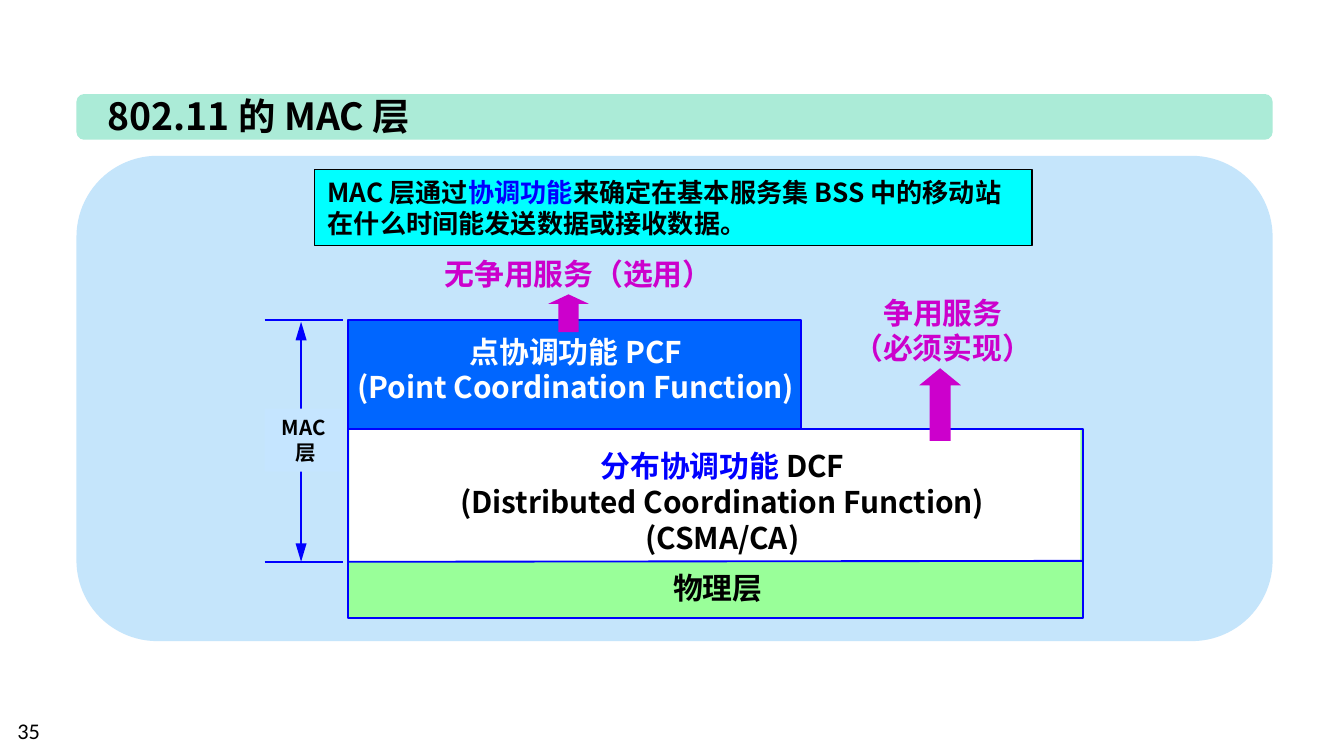
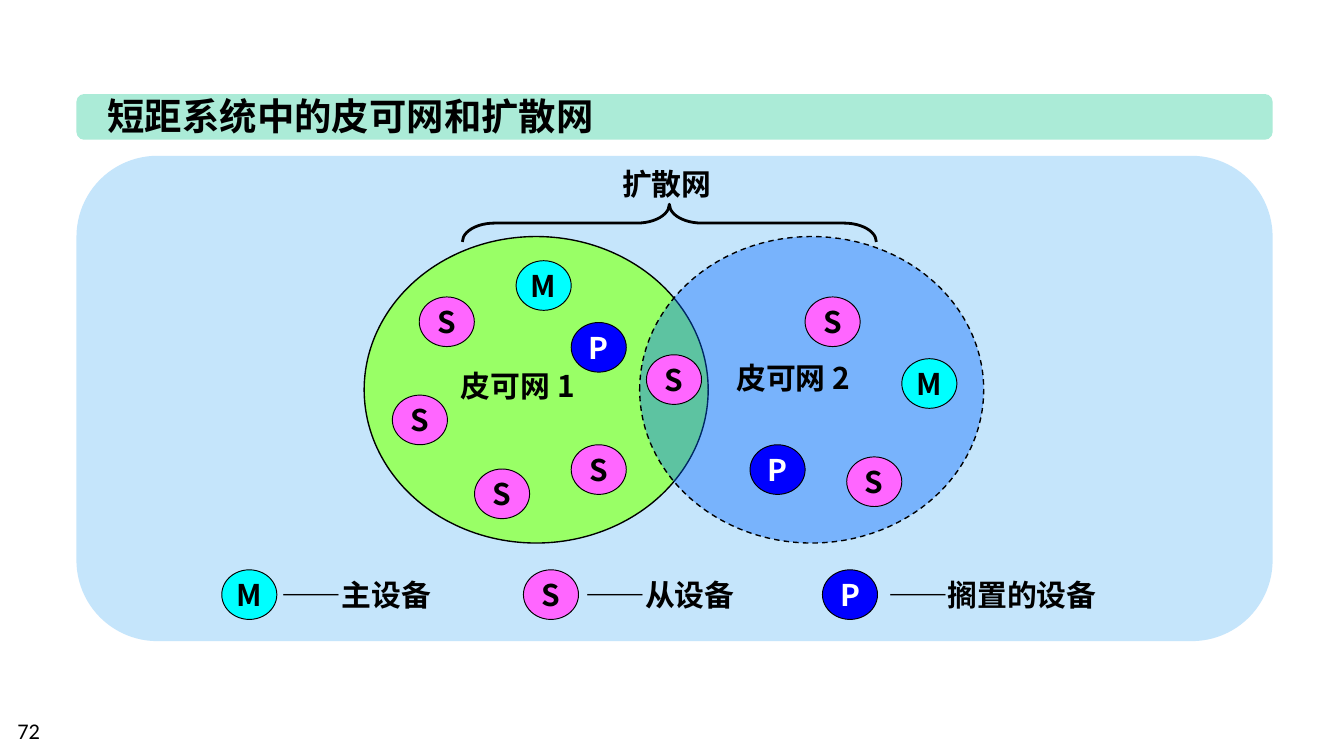
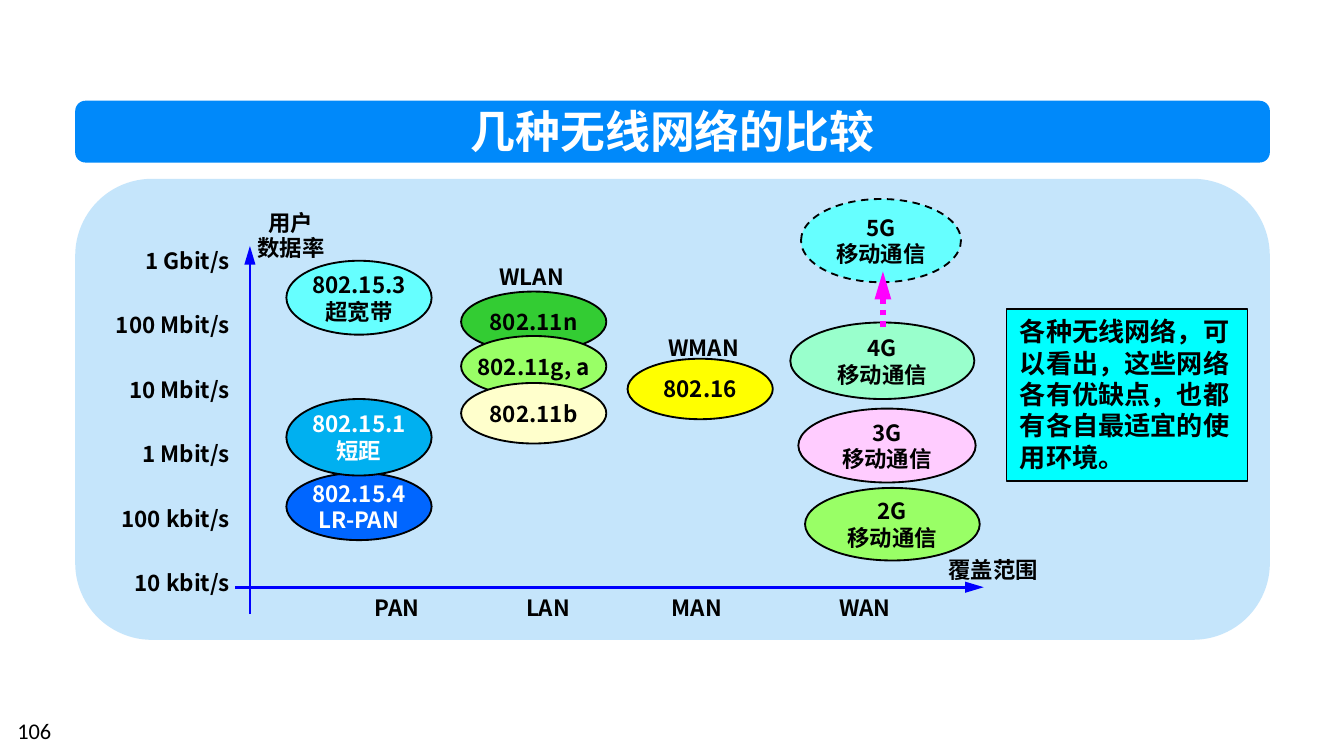
"""Build three slides on wireless networks: the 802.11 MAC layer, piconets and a comparison."""
from dataclasses import dataclass, replace
from typing import NamedTuple

from lxml.etree import SubElement
from pptx import Presentation
from pptx.dml.color import RGBColor
from pptx.enum.dml import MSO_LINE
from pptx.enum.shapes import MSO_CONNECTOR, MSO_SHAPE
from pptx.enum.text import MSO_ANCHOR, MSO_AUTO_SIZE, PP_ALIGN
from pptx.oxml.ns import qn
from pptx.util import Pt

COLOURS = {
    "black": "000000", "white": "FFFFFF", "blue": "0000FF", "panel": "C5E5FB",
    "mint": "ABEBD7", "azure": "0089FA", "cyan": "00FFFF", "mask": "C5E5FF",
    "purple": "CC00CC", "pale green": "99FF99", "royal": "0066FF", "lime": "99FF66",
    "pink": "FF66FF", "green": "33CC33", "sky": "00B0F0", "aqua": "66FFFF",
    "cream": "FFFFCC", "yellow": "FFFF00", "rose": "FFCCFF", "sea": "99FFCC",
    "magenta": "FF00FF",
}
CJK_FONT = "Noto Sans CJK SC"


class Box(NamedTuple):
    left: float
    top: float
    width: float
    height: float


@dataclass(frozen=True)
class TextStyle:
    size: float
    colour: str = "black"
    align: PP_ALIGN = PP_ALIGN.CENTER
    bold: bool = True
    font: str = CJK_FONT
    wrap: bool = False
    middle: bool = False
    spacing: float | None = None
    after: float | None = None
    accent: str = ""


@dataclass(frozen=True)
class Outline:
    colour: str
    width: float
    dash: MSO_LINE | None = None


@dataclass(frozen=True)
class Frame:
    panel: Box
    band: Box
    band_colour: str
    title: Box
    title_style: TextStyle


class Device(NamedTuple):
    role: str
    left: float
    top: float


class Network(NamedTuple):
    text: str
    box: Box
    fill: str
    colour: str = "black"
    dash: MSO_LINE | None = None


TOPIC_FRAME = Frame(
    Box(41, 83.5, 640.8, 260), Box(41, 50.4, 640.8, 24.5), "mint",
    Box(50.4, 46.1, 400, 31.7), TextStyle(20, align=PP_ALIGN.LEFT))
SECTION_FRAME = Frame(
    Box(40.3, 95.8, 640, 247), Box(40.3, 54, 640, 33.1), "azure",
    Box(244, 51.8, 232.6, 36), TextStyle(24, "white"))
PAGE_STYLE = TextStyle(12, align=PP_ALIGN.LEFT, bold=False, font="Calibri", wrap=True)
NOTE_STYLE = TextStyle(14, align=PP_ALIGN.LEFT, wrap=True)
LABEL = TextStyle(16)
LEFT_LABEL = replace(LABEL, align=PP_ALIGN.LEFT)
AXIS_LABEL = TextStyle(12, spacing=1.2)
THIN_BLUE = Outline("blue", 1)
AXIS = Outline("blue", 1.5)
ROLE_COLOURS = {"M": ("cyan", "black"), "S": ("pink", "black"), "P": ("blue", "white")}


def rgb(name: str) -> RGBColor:
    return RGBColor.from_string(COLOURS[name])


def points(box: Box) -> list[Pt]:
    return [Pt(length) for length in box]


def write(shape, text: str, style: TextStyle) -> None:
    frame = shape.text_frame
    frame.auto_size = MSO_AUTO_SIZE.NONE
    frame.word_wrap = style.wrap
    frame.vertical_anchor = MSO_ANCHOR.MIDDLE if style.middle else MSO_ANCHOR.TOP
    frame.text = text
    for paragraph in frame.paragraphs:
        paragraph.alignment = style.align
        if style.spacing is not None:
            paragraph.line_spacing = style.spacing
        if style.after is not None:
            paragraph.space_after = Pt(style.after)
        if style.accent and style.accent in paragraph.text:
            pieces = paragraph.text.partition(style.accent)
            paragraph.clear()
            for piece in filter(None, pieces):
                paragraph.add_run().text = piece
        for run in paragraph.runs:
            font = run.font
            font.name, font.size, font.bold = style.font, Pt(style.size), style.bold
            font.color.rgb = rgb("blue" if run.text == style.accent else style.colour)
            SubElement(run.font._element, qn("a:ea"), typeface=style.font)


def add_text(slide, text: str, box: Box, style: TextStyle):
    label = slide.shapes.add_textbox(*points(box))
    write(label, text, style)
    return label


def set_line(line, outline: Outline) -> None:
    line.color.rgb = rgb(outline.colour)
    line.width = Pt(outline.width)
    if outline.dash is not None:
        line.dash_style = outline.dash


def add_figure(slide, kind: MSO_SHAPE, box: Box, fill: str | None = None,
               outline: Outline | None = None, adjust: tuple[float, ...] = ()):
    figure = slide.shapes.add_shape(kind, *points(box))
    figure.shadow.inherit = False
    for index, value in enumerate(adjust):
        figure.adjustments[index] = value
    if fill:
        figure.fill.solid()
        figure.fill.fore_color.rgb = rgb(fill)
    else:
        figure.fill.background()
    if outline:
        set_line(figure.line, outline)
    else:
        figure.line.fill.background()
    return figure


def add_line(slide, start: tuple[float, float], end: tuple[float, float],
             outline: Outline, ends: tuple[str, ...] = ()) -> None:
    connector = slide.shapes.add_connector(
        MSO_CONNECTOR.STRAIGHT, *(Pt(length) for length in start + end))
    set_line(connector.line, outline)
    properties = connector.element.spPr
    for end_tag in ends:
        SubElement(properties.find(qn("a:ln")), qn(end_tag), type="triangle", len="lg")
    SubElement(properties, qn("a:effectLst"))


def start_slide(deck, title: str, page: int, frame: Frame):
    slide = deck.slides.add_slide(deck.slide_layouts[5])
    add_figure(slide, MSO_SHAPE.ROUNDED_RECTANGLE, frame.panel, "panel")
    add_figure(slide, MSO_SHAPE.ROUNDED_RECTANGLE, frame.band, frame.band_colour)
    heading = slide.shapes.title
    heading.left, heading.top, heading.width, heading.height = points(frame.title)
    write(heading, title, frame.title_style)
    heading.element.getparent().append(heading.element)
    add_text(slide, str(page), Box(2.2, 380.9, 167.8, 21.6), PAGE_STYLE)
    return slide


def add_note(slide, text: str, box: Box, accent: str = "") -> None:
    note = add_figure(slide, MSO_SHAPE.RECTANGLE, box, "cyan", Outline("black", 0.75))
    write(note, text, replace(NOTE_STYLE, accent=accent))


def build_mac_slide(deck) -> None:
    slide = start_slide(deck, "802.11 的 MAC 层", 35, TOPIC_FRAME)
    add_note(slide, "MAC 层通过协调功能来确定在基本服务集 BSS 中的移动站在什么时间能发送数据或接收数据。",
             Box(168.5, 90.7, 384.5, 41), "协调功能")
    mac_top, mac_bottom = 171.4, 301
    add_line(slide, (161.3, mac_top + 1), (161.3, mac_bottom), THIN_BLUE,
             ("a:headEnd", "a:tailEnd"))
    mac_label = add_figure(slide, MSO_SHAPE.RECTANGLE, Box(141.8, 218.9, 41.8, 33.8), "mask")
    write(mac_label, "MAC\n 层", TextStyle(11))
    for level in (mac_top, mac_bottom):
        add_line(slide, (141.8, level), (183.6, level), THIN_BLUE)

    for layer, fill, outline in (
        (Box(186.5, 229.7, 393.8, 101.5), "pale green", THIN_BLUE),
        (Box(187.2, 230.4, 391.7, 70.6), "white", None),
        (Box(186.5, mac_top, 242.6, 58.3), "royal", THIN_BLUE),
    ):
        add_figure(slide, MSO_SHAPE.RECTANGLE, layer, fill, outline)
    add_line(slide, (186.5, mac_bottom), (580.3, mac_bottom - 0.5), THIN_BLUE)

    service = replace(LABEL, colour="purple")
    for text, box, style in (
        ("无争用服务（选用）", Box(231.1, 133.2, 184.3, 26.6),
         replace(service, align=PP_ALIGN.LEFT)),
        ("争用服务\n（必须实现）", Box(449.3, 154.1, 111.6, 46), service),
        ("点协调功能 PCF\n(Point Coordination Function)", Box(180, 175, 257, 46),
         replace(LABEL, colour="white")),
        ("分布协调功能 DCF\n(Distributed Coordination Function)\n(CSMA/CA)",
         Box(234, 236.2, 306, 65.5), replace(LABEL, accent="分布协调功能")),
        ("物理层", Box(353.5, 301.7, 63.4, 26.6), LEFT_LABEL),
    ):
        add_text(slide, text, box, style)
    for box, head in ((Box(492.5, 197.3, 22.3, 38.9), 0.41),
                      (Box(293.8, 157.7, 21.6, 20.2), 0.25)):
        add_figure(slide, MSO_SHAPE.UP_ARROW, box, "purple", adjust=(0.5, head))


def add_device(slide, device: Device) -> None:
    fill, colour = ROLE_COLOURS[device.role]
    circle = add_figure(slide, MSO_SHAPE.OVAL, Box(device.left, device.top, 29.5, 26.6),
                        fill, Outline("black", 0.5))
    write(circle, device.role, replace(LABEL, colour=colour, middle=True))


def build_piconet_slide(deck) -> None:
    slide = start_slide(deck, "短距系统中的皮可网和扩散网", 72, TOPIC_FRAME)
    add_figure(slide, MSO_SHAPE.OVAL, Box(195.1, 126.7, 184.3, 164.2), "lime",
               Outline("black", 0.75))
    second_piconet = add_figure(slide, MSO_SHAPE.OVAL, Box(342.7, 126.7, 184.3, 164.2),
                                "royal", Outline("black", 0.75, MSO_LINE.DASH))
    fill_colour = second_piconet.element.spPr.find(qn("a:solidFill"))[0]
    SubElement(fill_colour, qn("a:alpha"), val="39000")

    for device in (
        Device("M", 276.5, 139.7), Device("M", 483.1, 192.2), Device("S", 210.2, 211.7),
        Device("S", 224.6, 159.1), Device("P", 401.8, 238.3), Device("S", 346.3, 190.1),
        Device("S", 306, 238.3), Device("S", 254.2, 251.3), Device("S", 453.6, 244.8),
        Device("S", 431.3, 159.1), Device("P", 306, 172.8),
    ):
        add_device(slide, device)

    for text, left, top in (("皮可网 1", 239.8, 193.7), ("皮可网 2", 387.4, 189.4)):
        add_text(slide, text, Box(left, top, 77.8, 26.6), replace(LEFT_LABEL, wrap=True))
    add_text(slide, "扩散网", Box(326.2, 85, 63.4, 26.6), LEFT_LABEL)
    brace = add_figure(slide, MSO_SHAPE.RIGHT_BRACE, Box(348.5, 8.6, 20.2, 221.8),
                       outline=Outline("black", 1.5), adjust=(0.86, 0.5))
    brace.rotation = 270

    legend_top = 305.3
    for role, left, text, text_left in (("M", 118.8, "——主设备", 144),
                                        ("S", 280.4, "——从设备", 306.7),
                                        ("P", 440.6, "——搁置的设备", 468.7)):
        add_device(slide, Device(role, left, legend_top))
        add_text(slide, text, Box(text_left, legend_top, 130, 26.6), LEFT_LABEL)


def build_comparison_slide(deck) -> None:
    slide = start_slide(deck, "几种无线网络的比较", 106, SECTION_FRAME)
    add_note(slide, "各种无线网络，可以看出，这些网络各有优缺点，也都有各自最适宜的使用环境。",
             Box(539.3, 165.6, 128.9, 92.2))

    rates = ("1 Gbit/s", "100 Mbit/s", "10 Mbit/s", "1 Mbit/s", "100 kbit/s", "10 kbit/s")
    add_text(slide, "\n".join(rates), Box(49, 126, 81.4, 216.7),
             replace(AXIS_LABEL, align=PP_ALIGN.RIGHT, after=17.25))
    add_line(slide, (126, 314.6), (527, 314.6), AXIS, ("a:tailEnd",))
    add_line(slide, (133.9, 329), (133.9, 131.8), AXIS, ("a:tailEnd",))
    rate_title = add_text(slide, "用户\n数据率", Box(130.3, 105.8, 51.1, 38.9), AXIS_LABEL)
    rate_title.text_frame.paragraphs[1].line_spacing = 0.95
    add_text(slide, "覆盖范围", Box(500.4, 291.6, 63.4, 24.5), AXIS_LABEL)
    for area, centre in (("PAN", 212.7), ("LAN", 293.6), ("MAN", 373.4), ("WAN", 463.4)):
        add_text(slide, area, Box(centre - 30, 311.8, 60, 24.5), AXIS_LABEL)

    pan, lan, width = 153.4, 247, 77.8
    for network in (
        Network("802.11n", Box(lan, 156.2, width, 32.4), "green"),
        Network("802.15.4\nLR-PAN", Box(pan, 253.4, width, 36), "royal", "white"),
        Network("802.15.1\n短距", Box(pan, 213.8, width, 41), "sky", "white"),
        Network("802.15.3\n超宽带", Box(pan, 139.7, width, 39.6), "aqua"),
        Network("802.11g, a", Box(lan, 180, width, 32.4), "lime"),
        Network("802.11b", Box(lan, 205.2, width, 32.4), "cream"),
        Network("802.16", Box(336.2, 192.2, width, 32.4), "yellow"),
        Network("2G\n移动通信", Box(431.3, 261.4, 93.6, 38.9), "lime"),
        Network("3G\n移动通信", Box(427.7, 218.9, 95, 39.6), "rose"),
        Network("4G\n移动通信", Box(423.4, 172.8, 98.6, 41), "sea"),
        Network("5G\n移动通信", Box(429.1, 106.6, 85.7, 44.6), "aqua", dash=MSO_LINE.DASH),
    ):
        ellipse = add_figure(slide, MSO_SHAPE.OVAL, network.box, network.fill,
                             Outline("black", 1, network.dash))
        write(ellipse, network.text, TextStyle(12, network.colour, middle=True))

    add_text(slide, "WLAN", Box(261.4, 134.6, 46.8, 23), AXIS_LABEL)
    add_text(slide, "WMAN", Box(346.3, 172.8, 61.2, 23), AXIS_LABEL)
    add_line(slide, (473, 175), (473, 145.4), Outline("magenta", 3, MSO_LINE.ROUND_DOT),
             ("a:tailEnd",))


def main() -> None:
    deck = Presentation()
    deck.slide_width, deck.slide_height = Pt(720), Pt(405)
    build_mac_slide(deck)
    build_piconet_slide(deck)
    build_comparison_slide(deck)
    deck.save("out.pptx")


if __name__ == "__main__":
    main()
